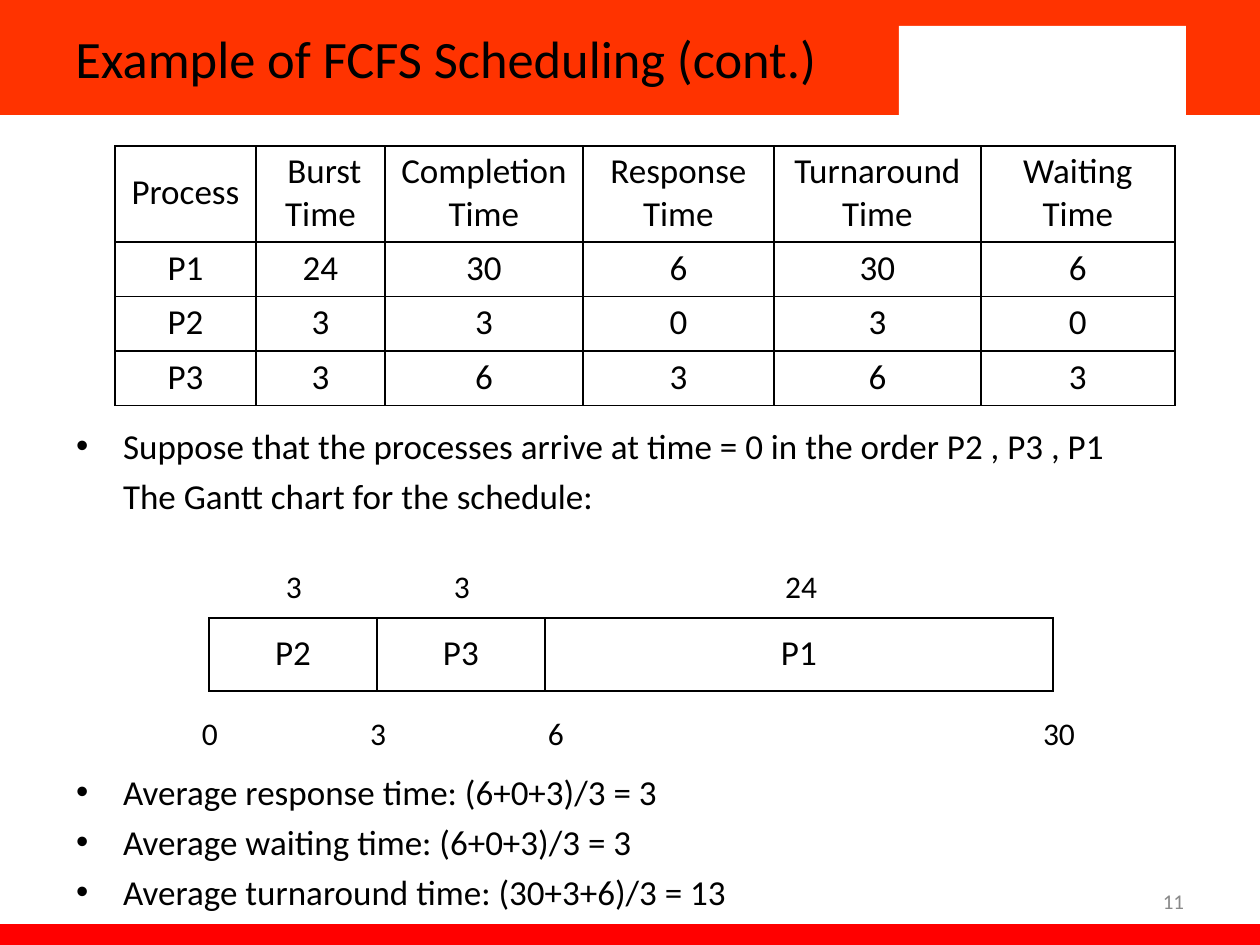
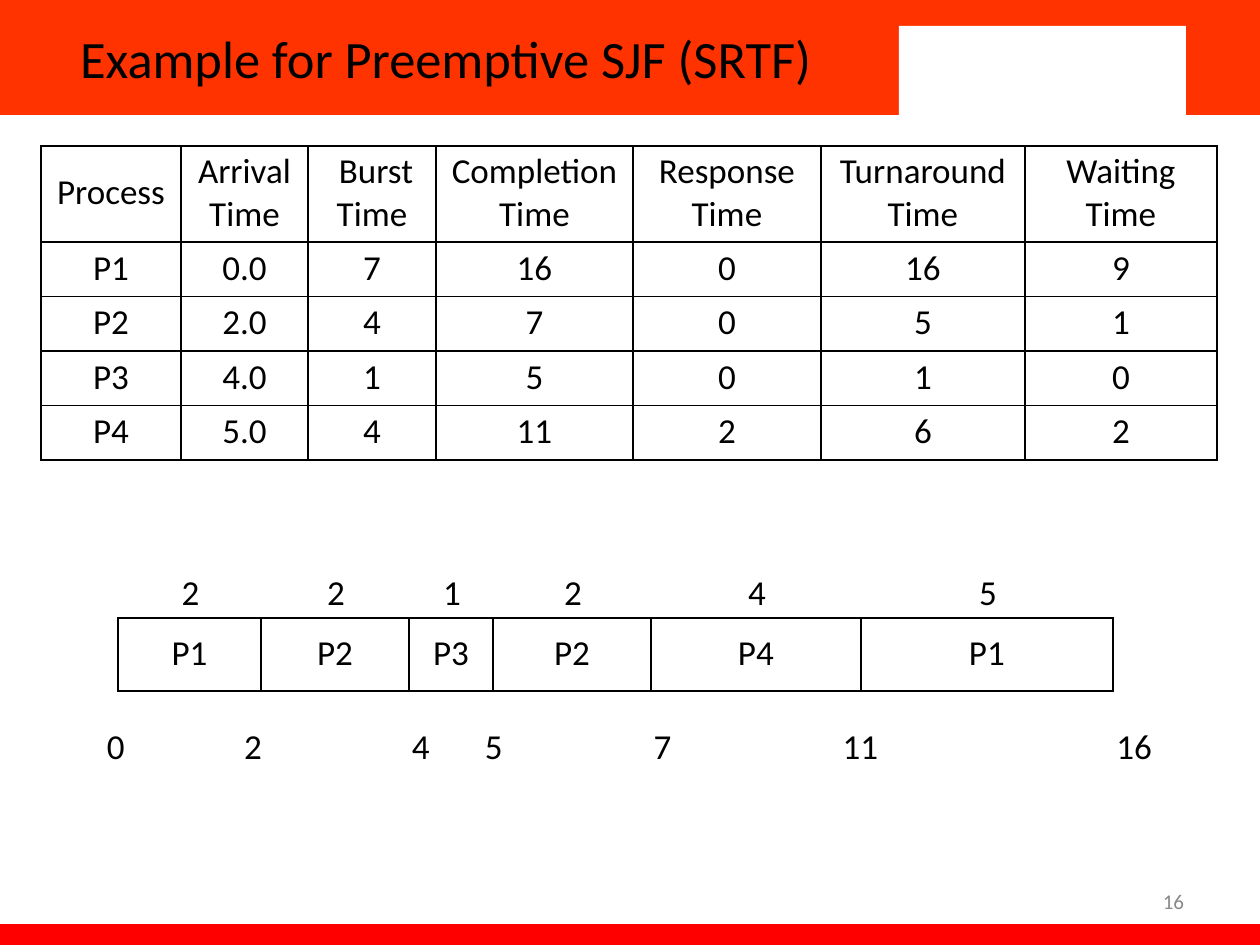
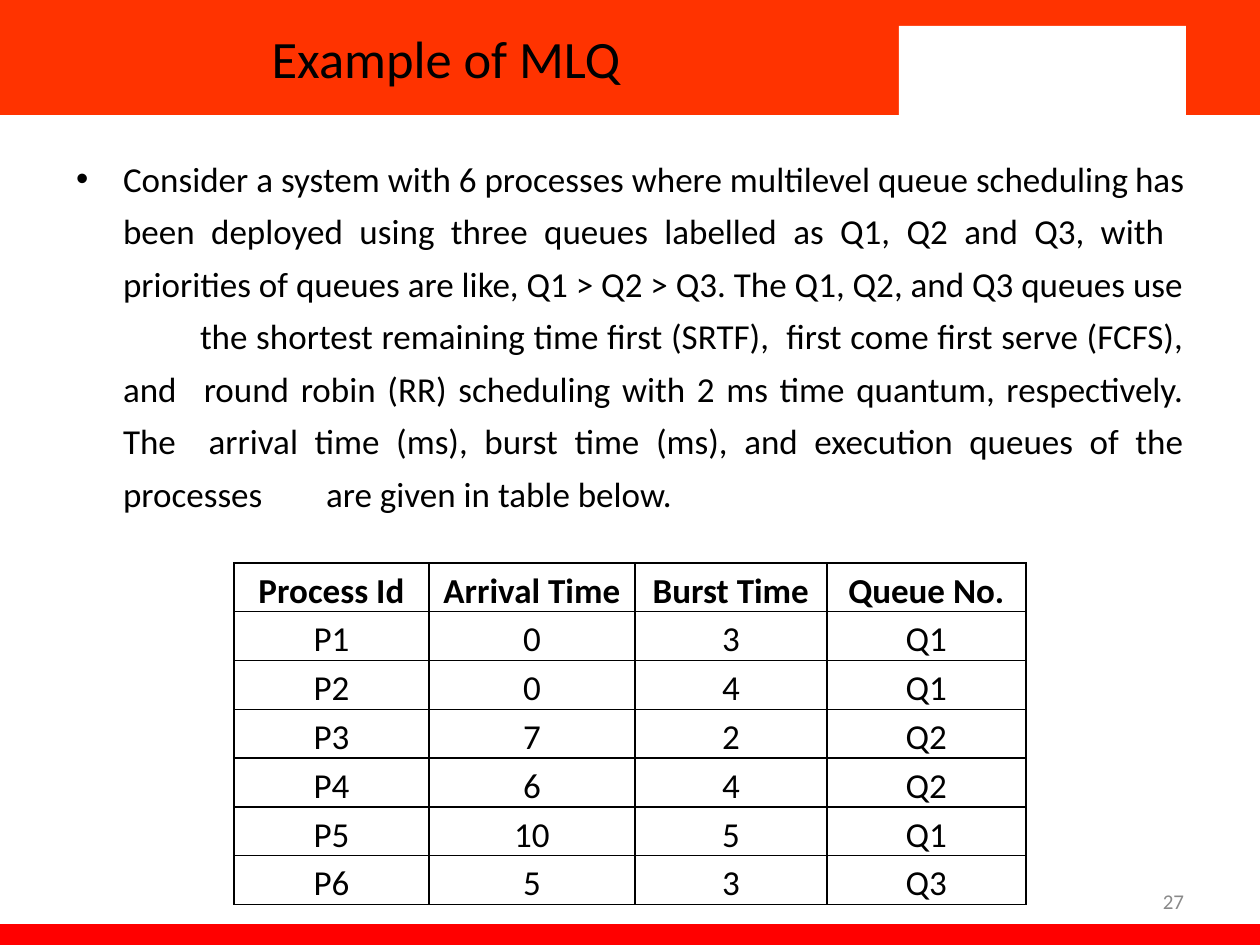
from itertools import accumulate

from pptx import Presentation
from pptx.dml.color import RGBColor
from pptx.enum.shapes import MSO_SHAPE
from pptx.enum.text import MSO_ANCHOR, MSO_AUTO_SIZE, PP_ALIGN
from pptx.oxml.ns import qn
from pptx.util import Emu, Pt
from lxml.etree import SubElement

PX = 914400 / 126
FONT = "Calibri"
BLACK = RGBColor(0x00, 0x00, 0x00)
WHITE = RGBColor(0xFF, 0xFF, 0xFF)
ORANGE = RGBColor(0xFF, 0x33, 0x00)
RED = RGBColor(0xFF, 0x00, 0x00)
GREY = RGBColor(0x89, 0x89, 0x89)
PLAIN_TABLE = "{2D5ABB26-0587-4C30-8999-92F81FD0307C}"
LEFT, CENTER, RIGHT = PP_ALIGN.LEFT, PP_ALIGN.CENTER, PP_ALIGN.RIGHT
TWO_LISTS, TITLE_ONLY, ONE_LIST = 3, 5, 1
BANDS = [
    (0, 0, 1260, 115, ORANGE),
    (0, 924, 1260, 21, RED),
    (847, 0, 413, 115, ORANGE),
    (899, 26, 287, 95, WHITE),
]
TABLE_TOP = 146
GANTT_TOP = 618
TAB_WIDTH = 126


def px(length):
    return Emu(round(length * PX))


def set_values(target, values):
    for name, value in values.items():
        setattr(target, name, value)


def place(shape, left, top, width, height):
    set_values(shape, {"left": px(left), "top": px(top), "width": px(width), "height": px(height)})


def set_margins(target, left=0, top=0, right=0, bottom=0):
    set_values(target, {"margin_left": px(left), "margin_top": px(top),
                        "margin_right": px(right), "margin_bottom": px(bottom)})


def set_paragraph_lengths(paragraph, **lengths):
    properties = paragraph._p.get_or_add_pPr()
    for name, length in lengths.items():
        properties.set(name, str(px(length)))
    return properties


def write(paragraph, text, size=20, color=BLACK, bold=False, **layout):
    run = paragraph.add_run()
    run.text = text
    set_values(run.font, {"name": FONT, "size": Pt(size), "bold": bold})
    run.font.color.rgb = color
    set_values(paragraph, layout)


def add_bands(presentation, slide):
    master_tree = presentation.slide_master.shapes._spTree
    for index, (left, top, width, height, color) in enumerate(BANDS):
        band = slide.shapes.add_shape(MSO_SHAPE.RECTANGLE, px(left), px(top), px(width), px(height))
        band.shadow.inherit = False
        band.fill.solid()
        band.fill.fore_color.rgb = color
        band.line.fill.background()
        master_tree.insert(2 + index, band._element)


def add_slide(presentation, layout, title, number):
    slide = presentation.slides.add_slide(presentation.slide_layouts[layout])
    heading = slide.shapes.title
    place(heading, 0, 0, 892, 116)
    set_values(heading.text_frame, {"vertical_anchor": MSO_ANCHOR.MIDDLE, "auto_size": MSO_AUTO_SIZE.NONE})
    write(heading.text_frame.paragraphs[0], title, size=30, alignment=CENTER)
    add_label(slide, number, (903, 876, 294, 50), size=12, color=GREY, alignment=RIGHT, side=13)
    return slide


def add_label(slide, text, box, side=0, **style):
    label = slide.shapes.add_textbox(*map(px, box))
    set_values(label.text_frame, {"word_wrap": True, "vertical_anchor": MSO_ANCHOR.MIDDLE})
    set_margins(label.text_frame, left=side, right=side)
    write(label.text_frame.paragraphs[0], text, **style)


def fill_list(placeholder, box, items, top_margin, unbulleted=(), **layout):
    place(placeholder, *box)
    text_frame = placeholder.text_frame
    set_values(text_frame, {"auto_size": MSO_AUTO_SIZE.NONE, "vertical_anchor": MSO_ANCHOR.TOP})
    set_margins(text_frame, top=top_margin)
    for index, item in enumerate(items):
        paragraph = text_frame.add_paragraph() if index else text_frame.paragraphs[0]
        write(paragraph, item, space_before=Pt(4.8 if index else 0), **layout)
        indent = 0 if index in unbulleted else -47
        properties = set_paragraph_lengths(paragraph, marL=49, indent=indent, defTabSz=TAB_WIDTH)
        if index in unbulleted:
            SubElement(properties, qn("a:buNone"))


def add_borders(cell):
    properties = cell._tc.get_or_add_tcPr()
    for side in ("L", "R", "T", "B"):
        line = SubElement(properties, qn(f"a:ln{side}"), w=str(Pt(1)))
        fill = SubElement(line, qn("a:solidFill"))
        SubElement(fill, qn("a:srgbClr"), val=str(BLACK))


def add_grid(slide, left, top, widths, heights, rows, bordered=True, bold_header=False,
             side=0, bottom=0, anchor=MSO_ANCHOR.TOP, **style):
    frame = slide.shapes.add_table(len(rows), len(widths), px(left), px(top),
                                   px(sum(widths)), px(sum(heights)))
    table = frame.table
    set_values(table, {"first_row": False, "horz_banding": False})
    table._tbl.tblPr.find(qn("a:tableStyleId")).text = PLAIN_TABLE
    for column, width in zip(table.columns, widths):
        column.width = px(width)
    for index, (row, height, texts) in enumerate(zip(table.rows, heights, rows)):
        row.height = px(height)
        for cell, text in zip(row.cells, texts):
            set_margins(cell, left=side, right=side, bottom=bottom)
            cell.vertical_anchor = anchor
            if bordered:
                add_borders(cell)
            cell.fill.background()
            write(cell.text_frame.paragraphs[0], text, bold=bold_header and index == 0,
                  **{"alignment": CENTER, **style})
    return table


def add_process_table(slide, left, widths, rows):
    heights = [96] + [54.5] * (len(rows) - 1)
    table = add_grid(slide, left, TABLE_TOP, widths, heights, rows, side=10, bottom=2,
                     anchor=MSO_ANCHOR.MIDDLE)
    burst_header = table.cell(0, rows[0].index("Burst Time"))
    set_paragraph_lengths(burst_header.text_frame.paragraphs[0], indent=8)


def add_gantt(slide, left, widths, processes):
    add_grid(slide, left, GANTT_TOP, widths, [73], [processes], bottom=2, anchor=MSO_ANCHOR.MIDDLE)


def add_ticks(slide, left, top, widths, height, ticks, size):
    texts, alignments, insets = zip(*ticks)
    table = add_grid(slide, left, top, widths, [height], [texts], bordered=False,
                     size=size, line_spacing=0.95)
    for cell, alignment, inset in zip(table.rows[0].cells, alignments, insets):
        cell.text_frame.paragraphs[0].alignment = alignment
        set_margins(cell, **{"left" if alignment == LEFT else "right": inset})


def add_durations(slide, left, widths, durations):
    for end, width, duration in zip(accumulate(widths), widths, durations):
        center = left + end - width / 2
        add_label(slide, duration, (center - 10, 569, 22, 45), alignment=CENTER)


def build_fcfs(presentation):
    slide = add_slide(presentation, TWO_LISTS, "Example of FCFS Scheduling (cont.)", "11")
    add_bands(presentation, slide)
    _, order_list, average_list = slide.placeholders
    fill_list(order_list, (74, 414, 1060, 105), [
        "Suppose that the processes arrive at time = 0 in the order P2 , P3 , P1",
        "The Gantt chart for the schedule:",
    ], top_margin=10, unbulleted=(1,))
    add_gantt(slide, 209, [168, 168, 508], ["P2", "P3", "P1"])
    add_ticks(slide, 198, 716, [96, 174, 336, 275], 36,
              [("0", LEFT, 4), ("3", CENTER, 6), ("6", LEFT, 80), ("30", RIGHT, 4)], 18)
    add_ticks(slide, 281, 569, [97, 249, 193], 36,
              [("3", LEFT, 5), ("3", LEFT, 76), ("24", RIGHT, 3)], 18)
    fill_list(average_list, (74, 760, 680, 155), [
        "Average response time: (6+0+3)/3 = 3",
        "Average waiting time: (6+0+3)/3 = 3",
        "Average turnaround time: (30+3+6)/3 = 13",
    ], top_margin=10)
    add_process_table(slide, 115, [141, 129, 198, 191, 207, 194], [
        ["Process", "Burst Time", "Completion Time", "Response Time", "Turnaround Time", "Waiting Time"],
        ["P1", "24", "30", "6", "30", "6"],
        ["P2", "3", "3", "0", "3", "0"],
        ["P3", "3", "6", "3", "6", "3"],
    ])


def build_srtf(presentation):
    slide = add_slide(presentation, TITLE_ONLY, "Example for Preemptive SJF (SRTF)", "16")
    gantt_left, gantt_widths = 118, [143, 148, 84, 158, 210, 252]
    add_gantt(slide, gantt_left, gantt_widths, ["P1", "P2", "P3", "P2", "P4", "P1"])
    add_durations(slide, gantt_left, gantt_widths, ["2", "2", "1", "2", "4", "5"])
    add_ticks(slide, 103, 727, [82, 152, 121, 121, 179, 239, 159], 40,
              [("0", LEFT, 4), ("2", CENTER, 16), ("4", LEFT, 75), ("5", LEFT, 27),
               ("7", CENTER, 12), ("11", CENTER, 34), ("16", RIGHT, 4)], 20)
    add_process_table(slide, 41, [140, 127, 128, 197, 188, 204, 192], [
        ["Process", "Arrival Time", "Burst Time", "Completion Time",
         "Response Time", "Turnaround Time", "Waiting Time"],
        ["P1", "0.0", "7", "16", "0", "16", "9"],
        ["P2", "2.0", "4", "7", "0", "5", "1"],
        ["P3", "4.0", "1", "5", "0", "1", "0"],
        ["P4", "5.0", "4", "11", "2", "6", "2"],
    ])


def build_mlq(presentation):
    slide = add_slide(presentation, ONE_LIST, "Example of MLQ", "27")
    fill_list(slide.placeholders[1], (74, 146, 1110, 372), [
        "Consider a system with 6 processes where multilevel queue scheduling "
        "\thas been deployed using three queues labelled as Q1, Q2 and Q3, with "
        "\tpriorities of queues are like, Q1 > Q2 > Q3. The Q1, Q2, and Q3 queues use "
        "\tthe shortest remaining time first (SRTF),  first come first serve (FCFS), and "
        "\tround robin (RR) scheduling with 2 ms time quantum, respectively. The "
        "\tarrival time (ms), burst time (ms), and execution queues of the processes "
        "\tare given in table below.",
    ], top_margin=1, alignment=PP_ALIGN.JUSTIFY, line_spacing=1.25)
    rows = [
        ["Process Id", "Arrival Time", "Burst Time", "Queue No."],
        ["P1", "0", "3", "Q1"],
        ["P2", "0", "4", "Q1"],
        ["P3", "7", "2", "Q2"],
        ["P4", "6", "4", "Q2"],
        ["P5", "10", "5", "Q1"],
        ["P6", "5", "3", "Q3"],
    ]
    add_grid(slide, 234, 563, [195, 206, 192, 199], [47] * len(rows), rows,
             bold_header=True, line_spacing=1.16)


def main():
    presentation = Presentation()
    set_values(presentation, {"slide_width": px(1260), "slide_height": px(945)})
    build_fcfs(presentation)
    build_srtf(presentation)
    build_mlq(presentation)
    presentation.save("out.pptx")


if __name__ == "__main__":
    main()
